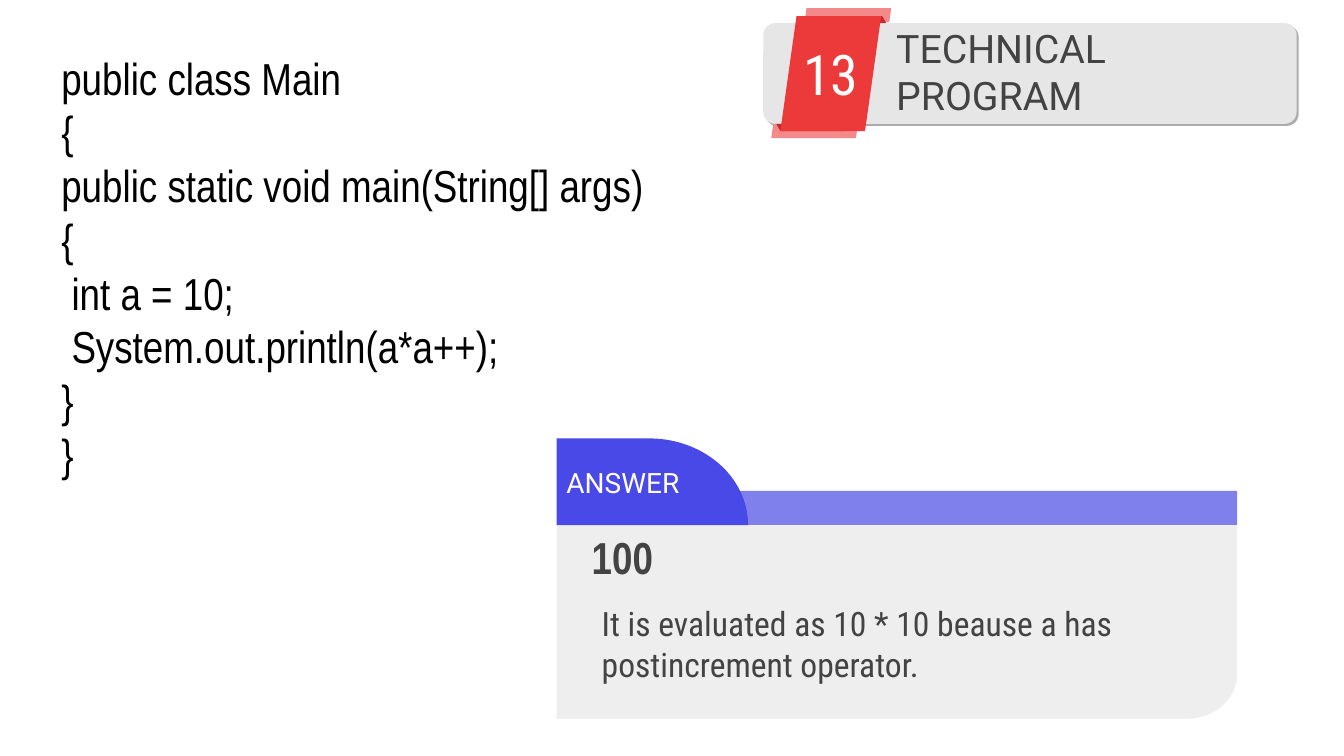
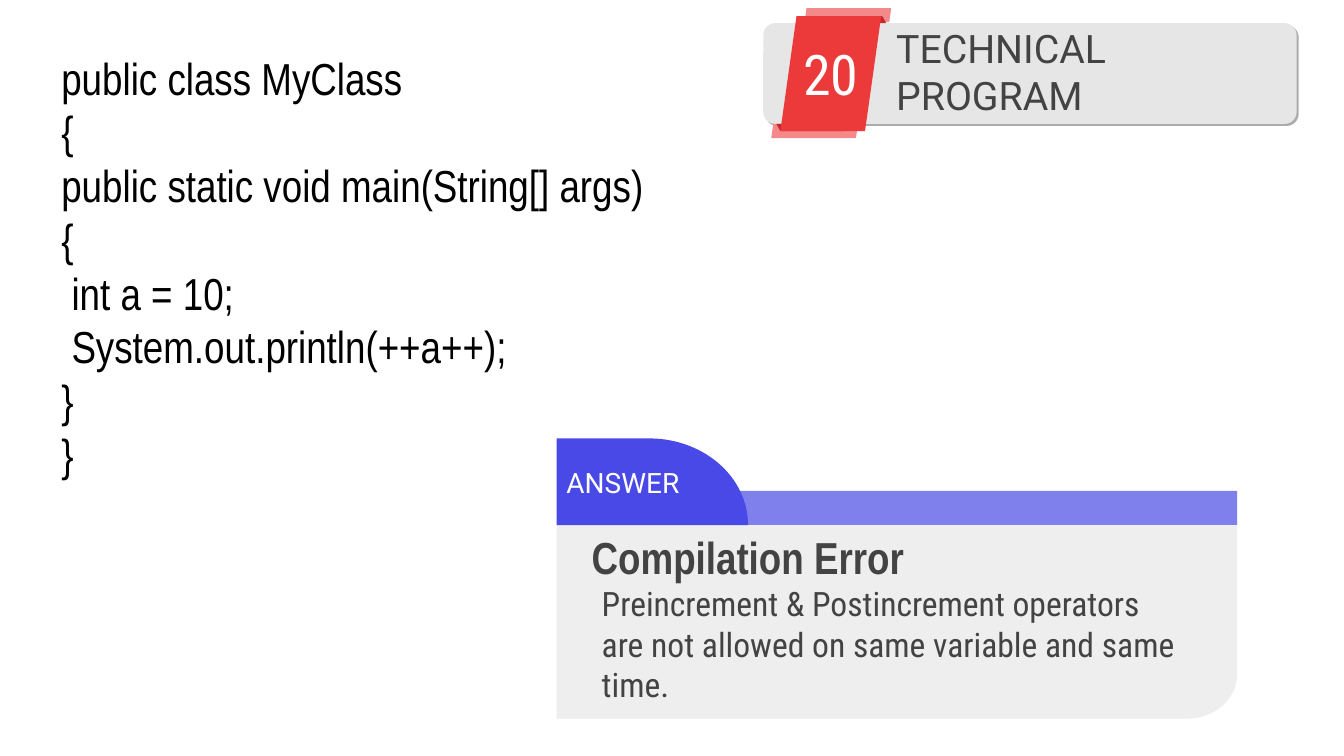
from math import cos, pi, sin
from typing import NamedTuple

from lxml import etree
from pptx import Presentation
from pptx.dml.color import RGBColor
from pptx.enum.shapes import MSO_SHAPE
from pptx.enum.text import MSO_ANCHOR, MSO_AUTO_SIZE, PP_ALIGN
from pptx.oxml.ns import qn
from pptx.util import Inches, Pt

ROUNDED = MSO_SHAPE.ROUNDED_RECTANGLE
MIDDLE = MSO_ANCHOR.MIDDLE
GROW = MSO_AUTO_SIZE.SHAPE_TO_FIT_TEXT
LEFT, CENTER = PP_ALIGN.LEFT, PP_ALIGN.CENTER

BLACK, WHITE, GRAY = "000000", "FFFFFF", "434343"
BAR, PANEL = "E7E6E6", "EEEEEE"
RED, PINK, MAROON = "EC3A3B", "F48989", "C6282F"
BLUE, PALE = "4949E7", "8080ED"

Point = tuple[float, float]


class Style(NamedTuple):
    font: str
    size: int
    color: str
    bold: bool = False
    align: PP_ALIGN = LEFT


class Box(NamedTuple):
    left: float
    top: float
    width: float
    height: float


class Quiz(NamedTuple):
    number: str
    name: str
    call: str
    answer: str
    reason: str


CODE = Style("Arial Narrow", 32, BLACK)
NUMBER = Style("Roboto Condensed", 40, WHITE, align=CENTER)
TITLE = Style("Roboto", 28, GRAY)
TAB = Style("Roboto", 20, WHITE)
REASON = Style("Roboto Condensed", 24, GRAY)
ANSWER = Style("Arial Narrow", 32, GRAY, bold=True)

QUIZZES = [
    Quiz("13", "Main", "a*a++", "100",
         "It is evaluated as 10 * 10 beause a has postincrement operator."),
    Quiz("20", "MyClass", "++a++", "Compilation Error",
         "Preincrement & Postincrement operators are not allowed on same "
         "variable and same time."),
]


def paint(shape, color: str, alpha: int = 100) -> None:
    shape.shadow.inherit = False
    shape.fill.solid()
    shape.fill.fore_color.rgb = RGBColor.from_string(color)
    shape.line.fill.background()
    if alpha < 100:
        tone = shape.fill._xPr.find(".//" + qn("a:srgbClr"))
        etree.SubElement(tone, qn("a:alpha"), val=str(alpha * 1000))


def write(shape, lines: list[str], style: Style):
    frame = shape.text_frame
    frame.word_wrap = True
    frame.text = "\n".join(lines)
    for para in frame.paragraphs:
        para.alignment = style.align
        font = para.font
        font.name, font.size, font.bold = style.font, Pt(style.size), style.bold
        font.color.rgb = RGBColor.from_string(style.color)
    return frame


def center(shape, text: str, style: Style) -> None:
    """Write one line of text, centred vertically within equal margins."""
    frame = write(shape, [text], style)
    frame.vertical_anchor = MIDDLE
    frame.margin_left = frame.margin_right = Inches(0.1)
    frame.margin_top = frame.margin_bottom = Inches(0.1)


def label(shapes, box: Box, text: str, style: Style) -> None:
    center(shapes.add_textbox(*map(Inches, box)), text, style)


def outline(shapes, points: list[Point], color: str):
    """Draw a closed, filled outline through points in inches."""
    start, *rest = [(Inches(x), Inches(y)) for x, y in points]
    pen = shapes.build_freeform(*start, scale=1.0)
    pen.add_line_segments(rest, close=True)
    shape = pen.convert_to_shape()
    paint(shape, color)
    return shape


def arc(mid: Point, wide: float, high: float, start: int) -> list[Point]:
    """Give a clockwise quarter of an ellipse from start degrees."""
    turns = [(start + 3 * step) * pi / 180 for step in range(31)]
    return [(mid[0] + wide * cos(t), mid[1] + high * sin(t)) for t in turns]


def slant(x: float, top: float, base: float, lean: float, width: float) -> list[Point]:
    """Give a parallelogram whose lower left corner is at x."""
    return [(x + lean, top), (x, base), (x + width, base), (x + width + lean, top)]


def header(slide, number: str) -> None:
    shapes = slide.shapes.add_group_shape().shapes
    for shift, color, alpha in ((0.02, BLACK, 33), (0, BAR, 100)):
        box = Box(7.57 + shift, 0.23 + shift, 5.29, 1)
        bar = shapes.add_shape(ROUNDED, *map(Inches, box))
        bar.adjustments[0] = 0.12
        paint(bar, color, alpha)
    for x, top in ((7.98, 0.08), (7.65, 1.23)):
        outline(shapes, slant(x, top, top + 0.14, 0.02, 0.84), PINK)
    outline(shapes, [(7.7, 1.23), (7.74, 1.3), (8.38, 1.3), (8.38, 1.23)], MAROON)
    outline(shapes, [(8.11, 0.16), (8.09, 0.23), (8.79, 0.23), (8.75, 0.16)], MAROON)
    badge = outline(shapes, slant(7.74, 0.16, 1.3, 0.16, 0.84), RED)
    center(badge, number, NUMBER)
    label(shapes, Box(8.79, 0.43, 4.02, 0.55), "TECHNICAL PROGRAM", TITLE)


def reply(slide, quiz: Quiz) -> None:
    """Draw the answer card."""
    shapes = slide.shapes.add_group_shape().shapes
    left, right, top, base = 5.52, 12.27, 5.21, 7.13
    strip = shapes.add_shape(ROUNDED.RECTANGLE, *map(Inches, Box(6.87, 4.87, 5.4, 0.34)))
    paint(strip, PALE)
    curve = arc((right - 0.5, base - 0.44), 0.5, 0.44, 0)
    outline(shapes, [(left, base), (left, top), (right, top), *curve], PANEL)
    curve = arc((6.44, top), 0.98, 0.86, 270)
    tab = outline(shapes, [(left, top), (left, 4.35), *curve], BLUE)
    center(tab, "ANSWER", TAB)
    label(shapes, Box(5.87, 5.86, 5.96, 1.05), quiz.reason, REASON)
    label(shapes, Box(5.77, 5.13, 4.43, 0.79), quiz.answer, ANSWER)


def code(slide, quiz: Quiz) -> None:
    lines = [
        f"public class {quiz.name}",
        "{",
        "public static void main(String[] args)",
        "{",
        " int a = 10;",
        f" System.out.println({quiz.call});",
        "}",
        "}",
    ]
    box = slide.shapes.add_textbox(*map(Inches, Box(0.51, 0.45, 11.76, 4.41)))
    write(box, lines, CODE).auto_size = GROW


def main() -> None:
    deck = Presentation()
    deck.slide_width, deck.slide_height = Inches(13.33), Inches(7.5)
    for quiz in QUIZZES:
        slide = deck.slides.add_slide(deck.slide_layouts[6])
        code(slide, quiz)
        header(slide, quiz.number)
        reply(slide, quiz)
    deck.save("out.pptx")


if __name__ == "__main__":
    main()
